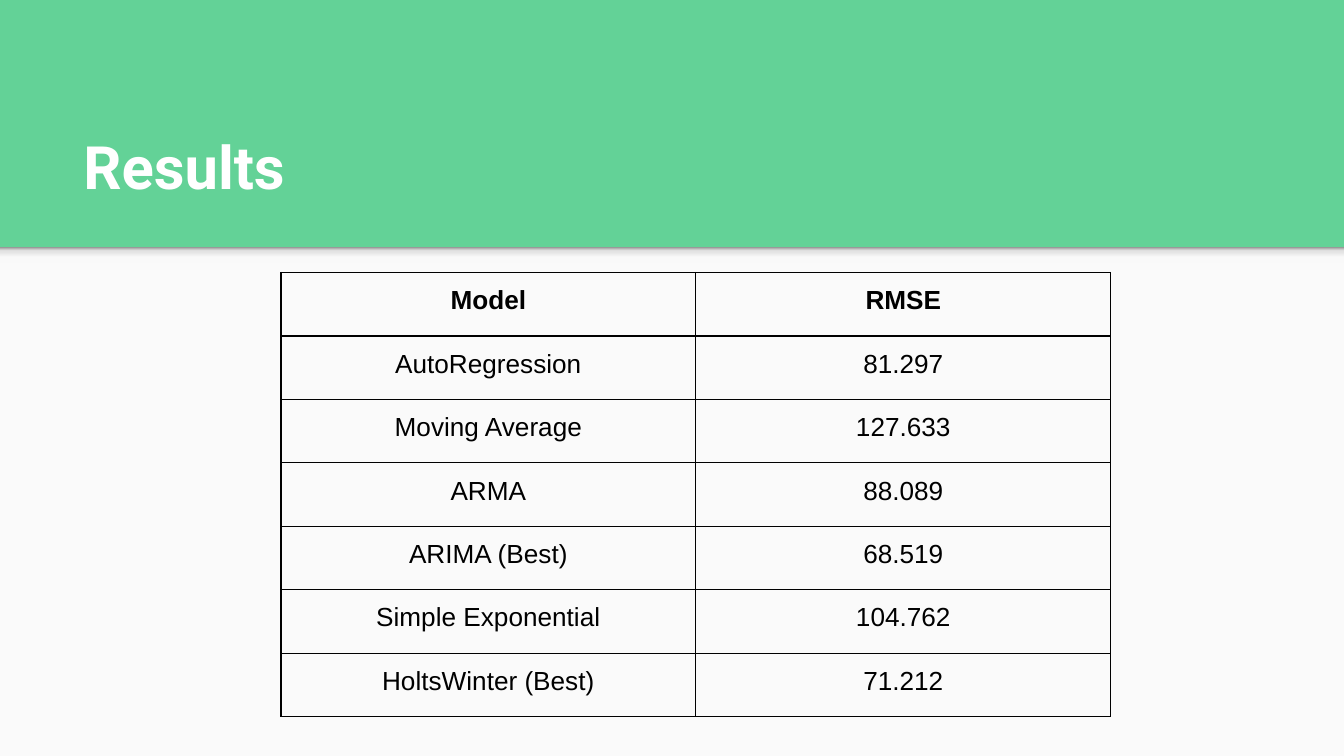
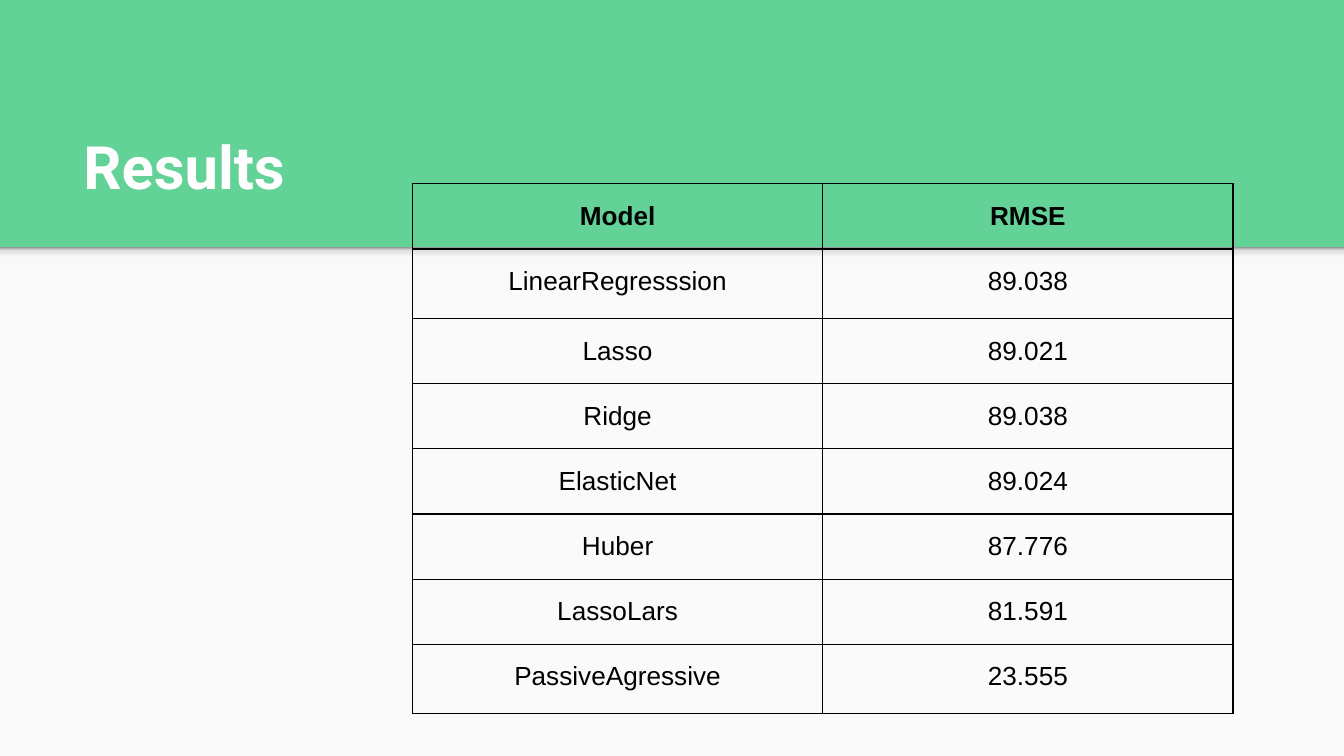
from pptx import Presentation
from pptx.dml.color import RGBColor
from pptx.enum.shapes import MSO_SHAPE
from pptx.enum.text import MSO_ANCHOR, PP_ALIGN
from pptx.oxml.ns import qn
from pptx.util import Pt
from lxml import etree

RECT = MSO_SHAPE.RECTANGLE
TOP, MIDDLE = MSO_ANCHOR.TOP, MSO_ANCHOR.MIDDLE
LEFT, CENTER = PP_ALIGN.LEFT, PP_ALIGN.CENTER
TITLE_ONLY = 5
WIDTH, HEIGHT = 720, 405
BAND_BOTTOM = 132.5
GREEN, PAPER, WHITE, BLACK = "63D297", "FAFAFA", "FFFFFF", "000000"
SHADOW_STOPS = [(0, "F9F9F9"), (36, "F9F9F9"), (80, "DEDEDE"), (100, "999999")]
HEADER = ("Model", "RMSE")
TIME_SERIES = [
    ("AutoRegression", "81.297"),
    ("Moving Average", "127.633"),
    ("ARMA", "88.089"),
    ("ARIMA (Best)", "68.519"),
    ("Simple Exponential", "104.762"),
    ("HoltsWinter (Best)", "71.212"),
]
REGRESSION = [
    ("LinearRegresssion", "89.038"),
    ("Lasso", "89.021"),
    ("Ridge", "89.038"),
    ("ElasticNet", "89.024"),
    ("Huber", "87.776"),
    ("LassoLars", "81.591"),
    ("PassiveAgressive", "23.555"),
]


def rgb(value):
    """Turn a hex string into a colour."""
    return RGBColor.from_string(value)


def add_run(p, text, size, font, color, bold):
    """Add one formatted run to a paragraph."""
    r = p.add_run()
    r.text = text
    r.font.size = Pt(size)
    r.font.name = font
    r.font.bold = bold
    r.font.color.rgb = rgb(color)


def set_margins(box, inset):
    """Give a text frame or cell the same inset on all sides."""
    box.margin_left = box.margin_right = Pt(inset)
    box.margin_top = box.margin_bottom = Pt(inset)


def add_rect(slide, top, height, color):
    """Add a plain rectangle across the slide."""
    sp = slide.shapes.add_shape(RECT, 0, Pt(top), Pt(WIDTH), Pt(height))
    sp.shadow.inherit = False
    sp.line.fill.background()
    sp.fill.solid()
    sp.fill.fore_color.rgb = rgb(color)
    return sp


def set_gradient(sp, stops):
    """Fill a shape with a gradient that runs from bottom to top."""
    sp.fill.gradient()
    sp.fill.gradient_angle = 90
    stop_list = next(sp.fill._xPr.iter(qn("a:gsLst")))
    for old in list(stop_list):
        stop_list.remove(old)
    for position, color in stops:
        gs = etree.SubElement(stop_list, qn("a:gs"), pos=str(position * 1000))
        etree.SubElement(gs, qn("a:srgbClr"), val=color)


def add_results_slide(prs):
    """Add a slide with the green band, its shadow and the title."""
    slide = prs.slides.add_slide(prs.slide_layouts[TITLE_ONLY])
    add_rect(slide, BAND_BOTTOM, HEIGHT - BAND_BOTTOM, PAPER)
    set_gradient(add_rect(slide, BAND_BOTTOM, 8.5, PAPER), SHADOW_STOPS)
    title = slide.shapes.title
    title.left, title.top = Pt(37.5), Pt(58.5)
    title.width, title.height = Pt(647), Pt(60.5)
    tf = title.text_frame
    tf.word_wrap = True
    tf.vertical_anchor = MIDDLE
    set_margins(tf, 7.2)
    p = tf.paragraphs[0]
    p.alignment = LEFT
    add_run(p, "Results", 32, "Roboto", WHITE, True)
    return slide


def set_borders(cell):
    """Draw thin black lines on all four sides of a cell."""
    tc_pr = cell._tc.get_or_add_tcPr()
    for i, side in enumerate(("a:lnL", "a:lnR", "a:lnT", "a:lnB")):
        ln = etree.Element(qn(side), w=str(Pt(0.75)))
        fill = etree.SubElement(ln, qn("a:solidFill"))
        etree.SubElement(fill, qn("a:srgbClr"), val=BLACK)
        tc_pr.insert(i, ln)


def add_results_table(slide, left, top, col_width, row_heights, inset, results):
    """Add a two-column table of models and their errors."""
    rows = [HEADER] + results
    table = slide.shapes.add_table(
        len(rows), len(HEADER), Pt(left), Pt(top),
        Pt(col_width * len(HEADER)), Pt(sum(row_heights))).table
    table.first_row = table.horz_banding = False
    for col in table.columns:
        col.width = Pt(col_width)
    for i, (height, values) in enumerate(zip(row_heights, rows)):
        table.rows[i].height = Pt(height)
        for j, value in enumerate(values):
            cell = table.cell(i, j)
            cell.fill.background()
            cell.vertical_anchor = TOP
            set_margins(cell, inset)
            set_borders(cell)
            p = cell.text_frame.paragraphs[0]
            p.alignment = CENTER
            add_run(p, value, 14, "Arial", BLACK, i == 0)


def main():
    """Build both result slides."""
    prs = Presentation()
    prs.slide_width, prs.slide_height = Pt(WIDTH), Pt(HEIGHT)
    background = prs.slide_master.background.fill
    background.solid()
    background.fore_color.rgb = rgb(GREEN)

    slide = add_results_slide(prs)
    add_results_table(slide, 150.5, 146, 222.3, [34] * 7, 7.2, TIME_SERIES)

    slide = add_results_slide(prs)
    heights = [34.9, 37.3] + [34.9] * 5 + [37.3]
    add_results_table(slide, 221, 98.5, 219.8, heights, 9.5, REGRESSION)
    prs.save("out.pptx")


if __name__ == "__main__":
    main()
